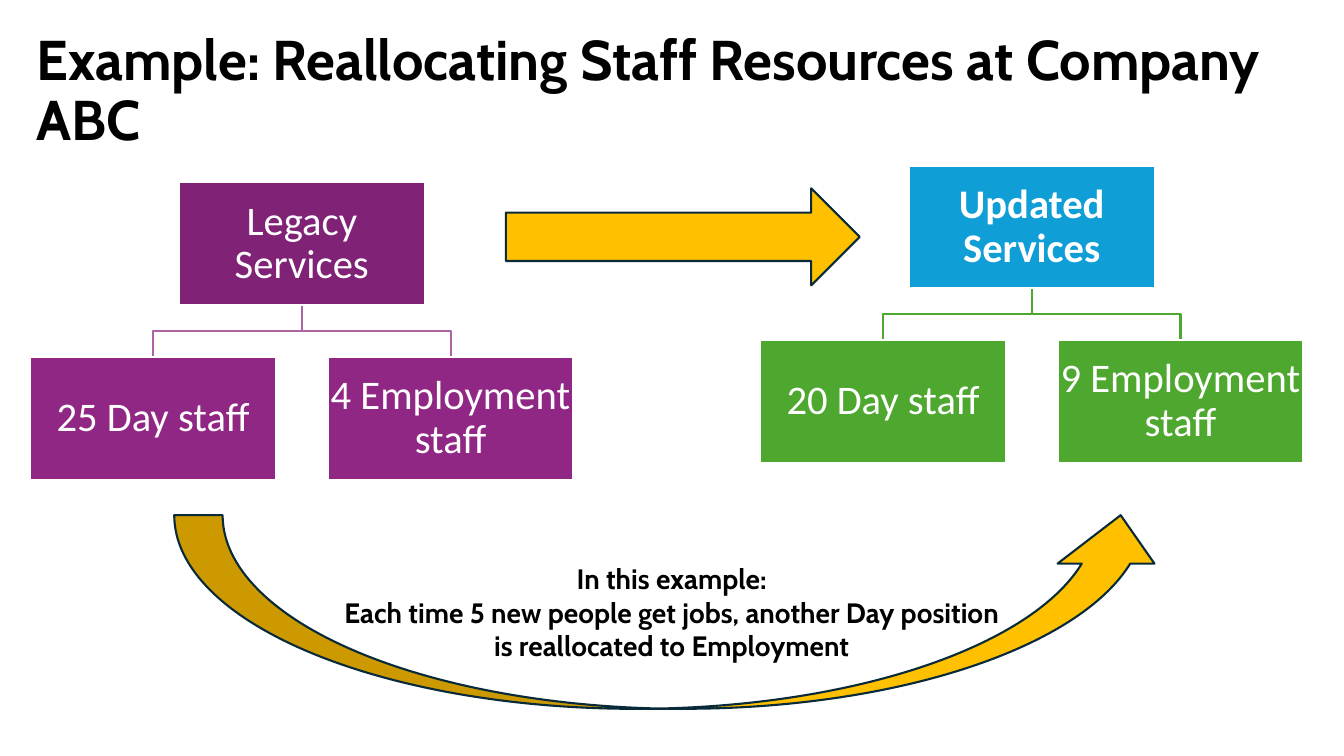
import pptx
import pptx.util
import pptx.dml.color
import pptx.enum.shapes
import pptx.enum.text

Pt = pptx.util.Pt
RGBColor = pptx.dml.color.RGBColor
MSO_SHAPE = pptx.enum.shapes.MSO_SHAPE
PP_ALIGN = pptx.enum.text.PP_ALIGN

BLACK = RGBColor(0x00, 0x00, 0x00)
WHITE = RGBColor(0xFF, 0xFF, 0xFF)
DARK_PURPLE = RGBColor(0x80, 0x22, 0x76)
PURPLE = RGBColor(0x91, 0x27, 0x85)
LIGHT_PURPLE = RGBColor(0xAD, 0x64, 0xA2)
BLUE = RGBColor(0x0F, 0x9E, 0xD5)
GREEN = RGBColor(0x4E, 0xA7, 0x2E)
GOLD = RGBColor(0xFF, 0xC0, 0x00)
NAVY = RGBColor(0x09, 0x2A, 0x39)


def write_text(frame, lines, font="Calibri", size=29, color=WHITE, bold=False,
               align=PP_ALIGN.CENTER, spacing=None, inset=None):
    """Fill a text frame with one paragraph per line."""
    frame.word_wrap = True
    frame.auto_size = pptx.enum.text.MSO_AUTO_SIZE.NONE
    frame.vertical_anchor = pptx.enum.text.MSO_ANCHOR.MIDDLE
    if inset is not None:
        frame.margin_left = frame.margin_right = Pt(inset)
        frame.margin_top = frame.margin_bottom = Pt(inset)
    for index, line in enumerate(lines):
        paragraph = frame.paragraphs[0] if index == 0 else frame.add_paragraph()
        paragraph.alignment = align
        paragraph.line_spacing = spacing
        run = paragraph.add_run()
        run.text = line
        run.font.name = font
        run.font.size = Pt(size)
        run.font.bold = bold
        run.font.color.rgb = color


def add_filled(slide, kind, left, top, width, height, fill, line):
    """Add a preset shape with a flat fill and a thin outline."""
    shape = slide.shapes.add_shape(kind, Pt(left), Pt(top), Pt(width), Pt(height))
    shape.shadow.inherit = False
    shape.fill.solid()
    shape.fill.fore_color.rgb = fill
    shape.line.color.rgb = line
    shape.line.width = Pt(1.5)
    return shape


def add_branch(slide, start_x, start_y, end_x, end_y, color):
    """Draw an elbow line from a service down to one staff group."""
    middle_y = (start_y + end_y) / 2
    builder = slide.shapes.build_freeform(Pt(start_x), Pt(start_y))
    corners = [(start_x, middle_y), (end_x, middle_y), (end_x, end_y)]
    builder.add_line_segments([(Pt(x), Pt(y)) for x, y in corners], close=False)
    branch = builder.convert_to_shape()
    branch.shadow.inherit = False
    branch.fill.background()
    branch.line.color.rgb = color
    branch.line.width = Pt(1.5)


def add_staff_chart(slide, left, top, service, staff_groups, service_fill,
                    staff_fill, branch_color, bold=False):
    """Draw a service above its row of staff groups."""
    width, height, column_step, row_step = 175.7, 87.8, 212.4, 124.7
    service_left = left + column_step * (len(staff_groups) - 1) / 2
    staff_lefts = [left + column_step * i for i in range(len(staff_groups))]
    for staff_left in staff_lefts:
        add_branch(slide, service_left + width / 2, top + height,
                   staff_left + width / 2, top + row_step, branch_color)
    boxes = [(service, service_left, top, service_fill, bold)]
    boxes += [(group, staff_left, top + row_step, staff_fill, False)
              for group, staff_left in zip(staff_groups, staff_lefts)]
    for label, box_left, box_top, fill, is_bold in boxes:
        box = add_filled(slide, MSO_SHAPE.RECTANGLE, box_left, box_top,
                         width, height, fill, WHITE)
        write_text(box.text_frame, [label], bold=is_bold, spacing=0.9, inset=1.45)


def add_title(slide, left, top, width, height):
    """Place and format the slide title."""
    title = slide.shapes.title
    title.left, title.top = Pt(left), Pt(top)
    title.width, title.height = Pt(width), Pt(height)
    write_text(title.text_frame,
               ["Example: Reallocating Staff Resources at Company ABC"],
               font="Cabin", size=40, color=BLACK, bold=True,
               align=PP_ALIGN.LEFT, spacing=0.9)


def add_reallocation_arrow(slide, left, top, width, height):
    """Draw the curved arrow that explains the reallocation."""
    arrow = add_filled(slide, MSO_SHAPE.CURVED_UP_ARROW, left, top, width, height,
                       GOLD, NAVY)
    write_text(arrow.text_frame,
               ["In this example:",
                "Each time 5 new people get jobs, another Day position",
                "is reallocated to Employment"],
               font="Cabin", size=20, color=BLACK, bold=True)


def build_staffing_slide(presentation):
    """Compose the staff reallocation slide."""
    slide = presentation.slides.add_slide(presentation.slide_layouts[5])
    add_title(slide, 18.8, 13.7, 913.5, 104.4)
    add_staff_chart(slide, 21.6, 130.3, "Legacy Services",
                    ["25 Day staff", "4 Employment staff"],
                    DARK_PURPLE, PURPLE, LIGHT_PURPLE)
    add_filled(slide, MSO_SHAPE.RIGHT_ARROW, 361.4, 134.5, 252.7, 69.3, GOLD, NAVY)
    add_staff_chart(slide, 543, 118.2, "Updated Services",
                    ["20 Day staff", "9 Employment staff"],
                    BLUE, GREEN, GREEN, bold=True)
    add_reallocation_arrow(slide, 124.5, 368, 710.6, 138.3)


def main():
    """Build and save the presentation."""
    presentation = pptx.Presentation()
    presentation.slide_width, presentation.slide_height = Pt(960), Pt(540)
    build_staffing_slide(presentation)
    presentation.save("out.pptx")


if __name__ == "__main__":
    main()
